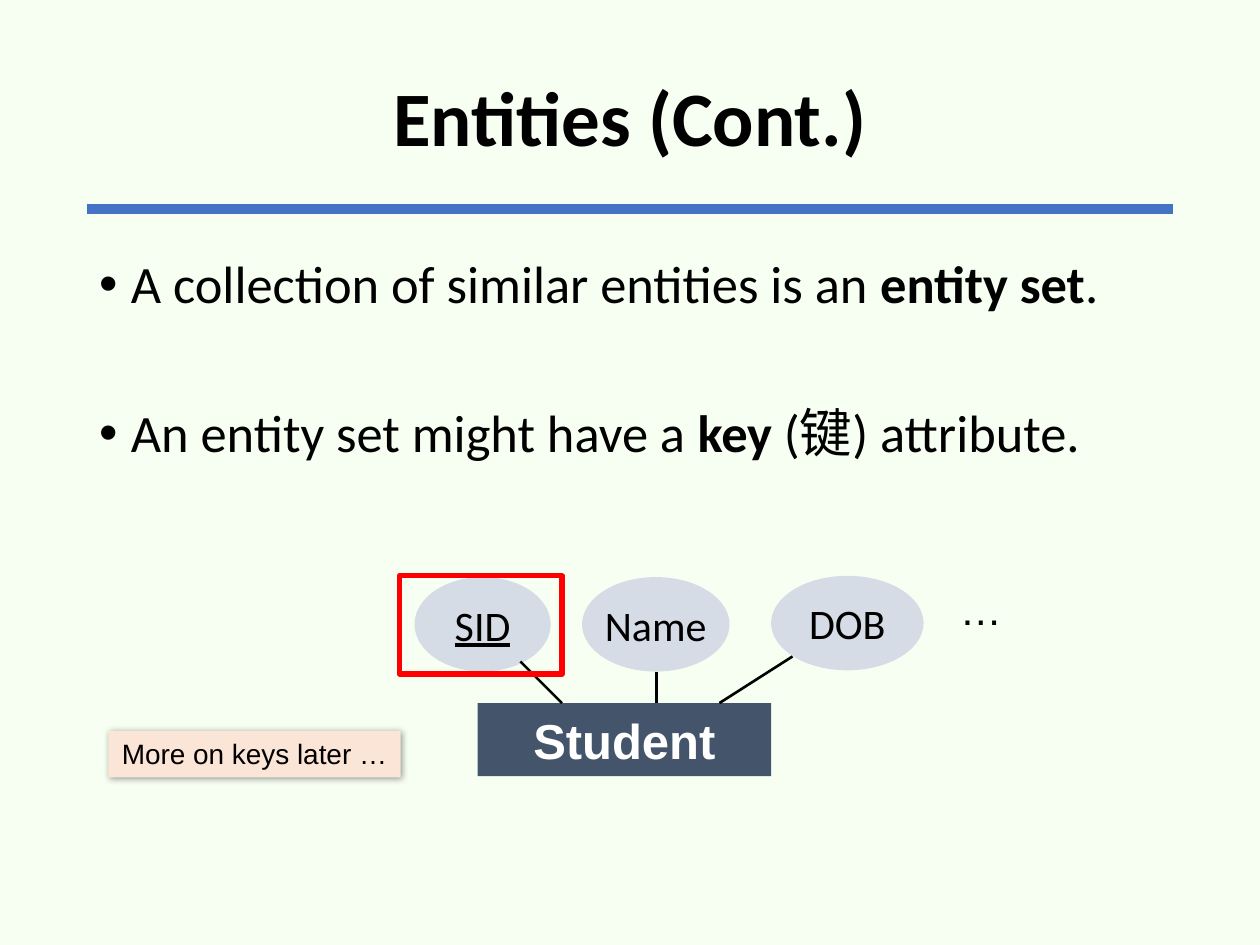
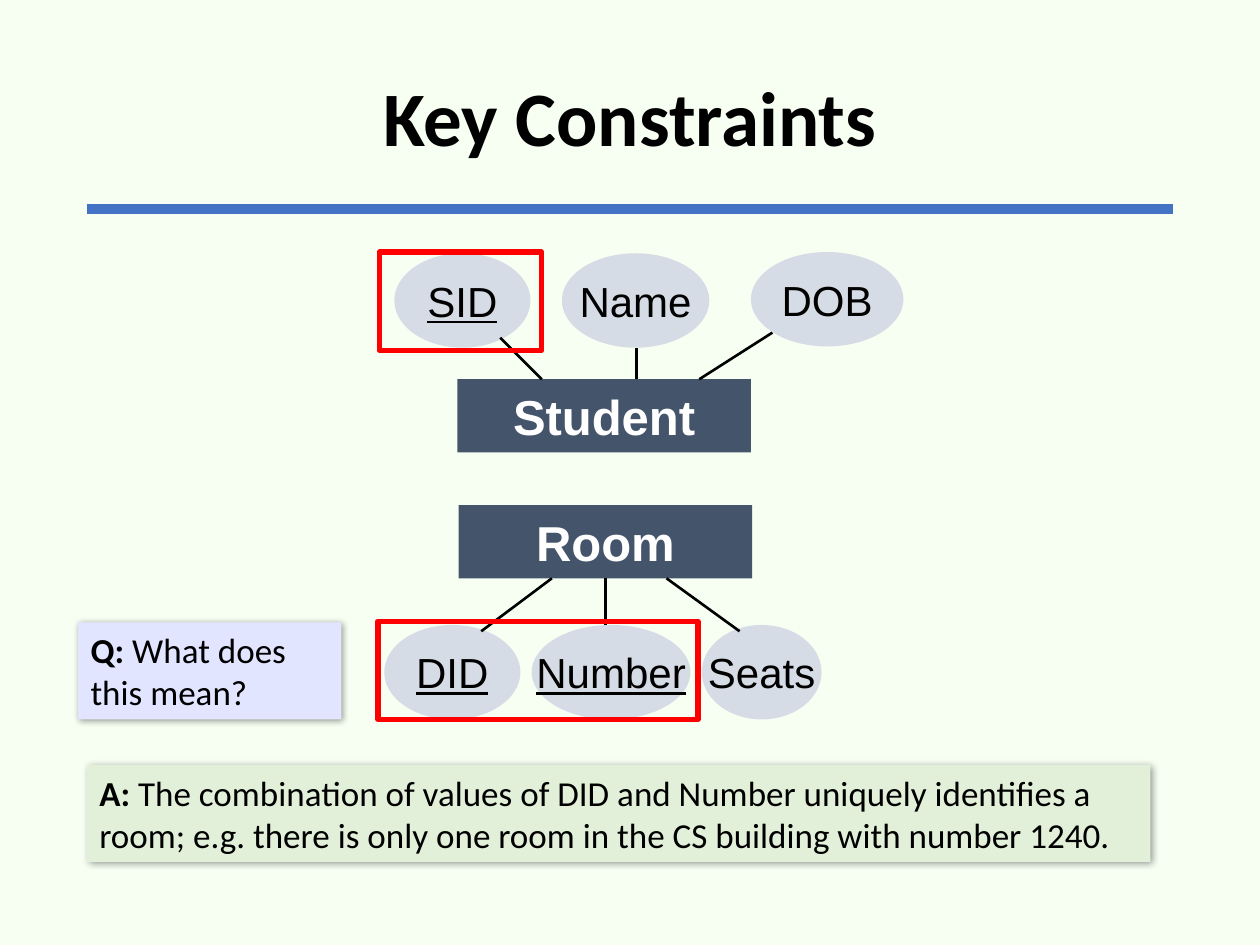
import pptx
import pptx.util
import pptx.dml.color
import pptx.enum.shapes
import pptx.enum.text
import pptx.oxml.ns
import lxml.etree

Inches = pptx.util.Inches
Pt = pptx.util.Pt
hue = pptx.dml.color.RGBColor.from_string
qn = pptx.oxml.ns.qn
Kind = pptx.enum.shapes.MSO_SHAPE
Align = pptx.enum.text.PP_ALIGN
Anchor = pptx.enum.text.MSO_ANCHOR

PAGE, BLUE, NAVY, GREY = "F7FFF3", "4472C4", "44546A", "D6DCE5"
BLACK, WHITE, RED = "000000", "FFFFFF", "FF0000"


def write(slide, at, text, kind=Kind.RECTANGLE, fill=None, edge=None, shade=False,
          size=24, font="Calibri", color=BLACK, bold=False, under=False, align=Align.CENTER,
          anchor=Anchor.MIDDLE, wrap=True, lead=None, gap=0, bullet=False):
    box = [Inches(v) for v in at]
    if kind is None:
        shape = slide.shapes.add_textbox(*box)
    else:
        shape = slide.shapes.add_shape(kind, *box)
        shape.shadow.inherit = False
        if fill:
            shape.fill.solid()
            shape.fill.fore_color.rgb = hue(fill)
        else:
            shape.fill.background()
        if edge:
            shape.line.color.rgb = hue(edge)
            shape.line.width = Pt(3)
        else:
            shape.line.fill.background()
    if shade:
        effects = shape._element.spPr.find(qn("a:effectLst"))
        outer = lxml.etree.SubElement(effects, qn("a:outerShdw"), blurRad="50800",
                                      dist="12700", dir="2700000", algn="tl", rotWithShape="0")
        dark = lxml.etree.SubElement(outer, qn("a:srgbClr"), val=BLACK)
        lxml.etree.SubElement(dark, qn("a:alpha"), val="40000")
    frame = shape.text_frame
    frame.word_wrap = wrap
    frame.vertical_anchor = anchor
    for row, line in enumerate(text.split("\n") if text else []):
        para = frame.add_paragraph() if row else frame.paragraphs[0]
        if bullet:
            props = para._p.get_or_add_pPr()
            props.set("marL", str(Inches(0.25)))
            props.set("indent", str(-Inches(0.25)))
            lxml.etree.SubElement(props, qn("a:buFont"), typeface="Arial")
            lxml.etree.SubElement(props, qn("a:buChar"), char="•")
        para.alignment = align
        if lead:
            para.line_spacing = lead
        if row:
            para.space_before = Pt(gap)
        for part, words in enumerate(line.split("*")):
            if words:
                run = para.add_run()
                run.text = words
                run.font.size = Pt(size)
                run.font.name = font
                run.font.bold = bold or part % 2 == 1
                run.font.underline = under
                run.font.color.rgb = hue(color)
                lxml.etree.SubElement(run._r.rPr, qn("a:ea"), typeface="Noto Sans CJK SC")
    return shape


def link(slide, start, end, color=BLACK, width=1.5):
    line = slide.shapes.add_connector(pptx.enum.shapes.MSO_CONNECTOR.STRAIGHT,
                                      *[Inches(v) for v in (*start, *end)])
    line.line.color.rgb = hue(color)
    line.line.width = Pt(width)
    lxml.etree.SubElement(line._element.spPr, qn("a:effectLst"))
    return line


deck = pptx.Presentation()
deck.slide_width, deck.slide_height = Inches(10), Inches(7.5)

pages = []
for title in ("Entities (Cont.)", "Key Constraints"):
    slide = deck.slides.add_slide(deck.slide_layouts[6])
    slide.background.fill.solid()
    slide.background.fill.fore_color.rgb = hue(PAGE)
    link(slide, (0.69, 1.66), (9.31, 1.66), BLUE, 6)
    write(slide, (0.69, 0.24, 8.62, 1.45), title, kind=None, size=44, bold=True, lead=0.9)
    pages.append(slide)
first, second = pages

write(first, (0.69, 2, 8.62, 4.76),
      "A collection of similar entities is an *entity set*.\n"
      "An entity set might have a *key* (键) attribute.",
      kind=None, size=30, align=Align.LEFT, anchor=Anchor.TOP, lead=0.9, gap=53, bullet=True)

WIDE, HIGH = 2.33, 0.58
student = dict(
    name="Student",
    ovals=[("Name", 0.83, -1, 1.17, False), ("DOB", 2.33, -1.01, 1.21, False),
           ("SID", -0.5, -1, 1.08, True)],
    wires=[(0.67, 0, 0.34, -0.33), (1.42, 0, 1.42, -0.25), (1.92, 0, 2.5, -0.37)],
    mark=(-0.62, -1.01, 1.29))
room = dict(
    name="Room",
    ovals=[("Number", 0.58, 0.95, 1.26, True), ("Seats", 1.93, 0.95, 0.95, False),
           ("DID", -0.59, 0.95, 1.08, True)],
    wires=[(0.74, HIGH, 0.18, 1), (WIDE / 2, HIGH, WIDE / 2, 0.95), (1.65, HIGH, 2.23, 1)],
    mark=(-0.64, 0.92, 2.54))

for slide, left, top, model, font in ((first, 3.79, 5.58, student, "Calibri"),
                                      (second, 3.63, 3.01, student, "Arial"),
                                      (second, 3.64, 4.01, room, "Arial")):
    entity = write(slide, (left, top, WIDE, HIGH), model["name"], fill=NAVY, size=28,
                   font="Arial", color=WHITE, bold=True, wrap=False)
    for label, x, y, width, key in model["ovals"]:
        write(slide, (left + x, top + y, width, 0.75), label, kind=Kind.OVAL, fill=GREY,
              font=font, under=key, wrap=False)
    for x, y, far, deep in model["wires"]:
        wire = link(slide, (left + x, top + y), (left + far, top + deep))
        if x == WIDE / 2:
            wire.begin_connect(entity, 2 if y else 0)
    x, y, width = model["mark"]
    write(slide, (left + x, top + y, width, 0.78), "", edge=RED)

write(first, (7.52, 4.58, 0.45, 0.5), "…", kind=None, font="Arial", align=Align.LEFT,
      anchor=Anchor.TOP, wrap=False)

for slide, at, text, fill, size, font, align in (
        (first, (0.86, 5.8, 2.32, 0.37), "More on keys later …", "FBE5D6", 16, "Arial",
         Align.CENTER),
        (second, (0.62, 4.94, 2.09, 0.77), "*Q: *What does this mean?", "E2E5FF", 20,
         "Calibri", Align.LEFT),
        (second, (0.69, 6.07, 8.44, 0.77),
         "*A: *The combination of values of DID and Number uniquely identifies a room; "
         "e.g. there is only one room in the CS building with number 1240.",
         "E2F0D9", 20, "Calibri", Align.LEFT)):
    write(slide, at, text, fill=fill, shade=True, size=size, font=font, align=align,
          anchor=Anchor.TOP)

deck.save("out.pptx")
